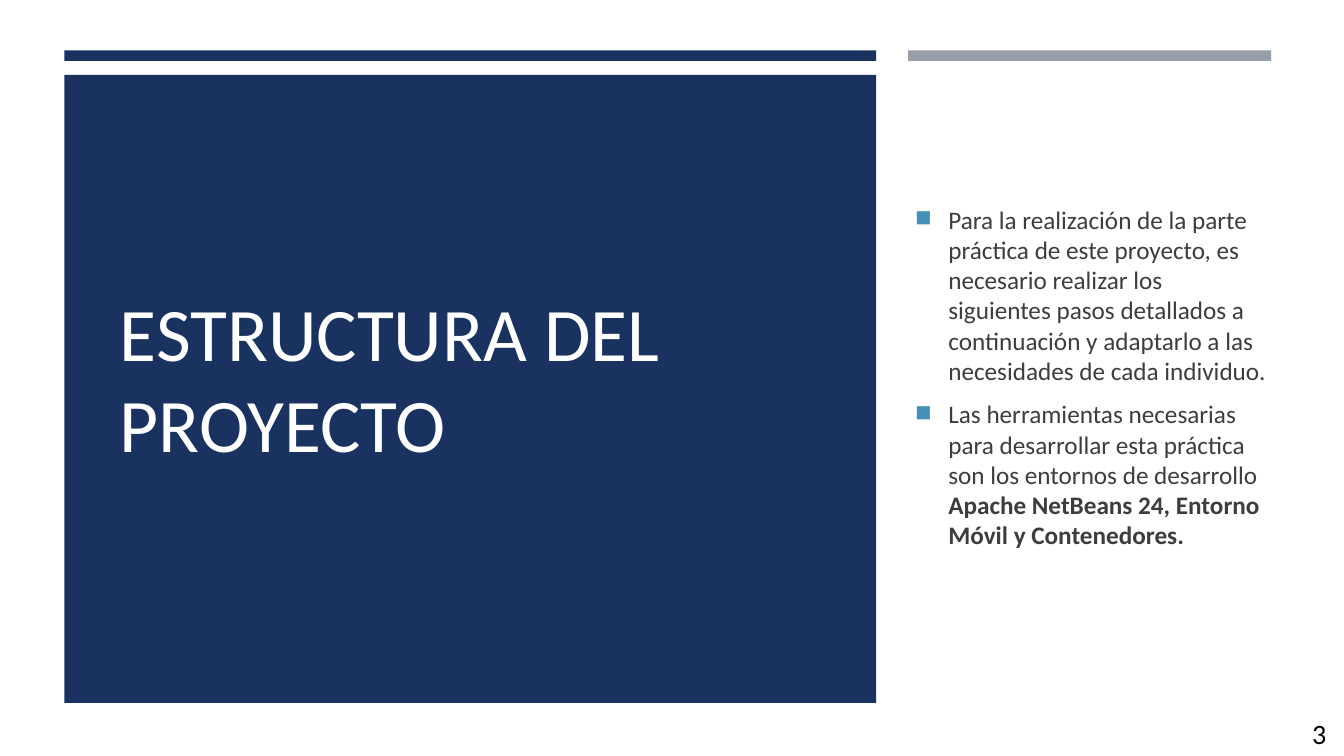
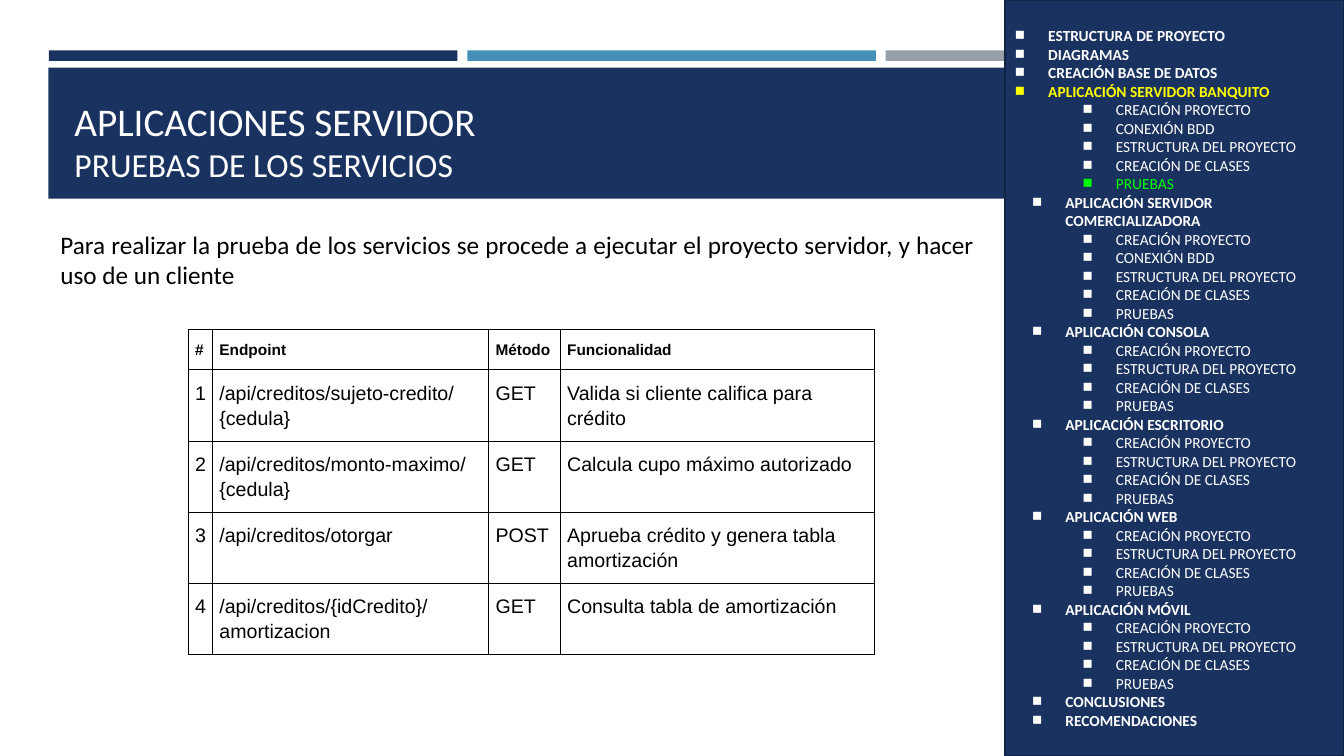
from dataclasses import dataclass
from typing import NamedTuple

import lxml.etree
import pptx
import pptx.dml.color
import pptx.enum.shapes
import pptx.enum.text
import pptx.oxml.ns
import pptx.util

SLIDE_WIDTH = pptx.util.Inches(13.33)
SLIDE_HEIGHT = pptx.util.Inches(7.5)
NAVY, BLUE, GRAY = "1A3260", "4590B8", "969FA7"
NAVY_EDGE, INK = "122446", "3D3D3D"
WHITE, BLACK, YELLOW, GREEN = "FFFFFF", "000000", "FFFF00", "00FF00"
BAND_TOP, BAND_HEIGHT = 6.67, 1.4
ANCHOR = pptx.enum.text.MSO_ANCHOR
ALIGN = pptx.enum.text.PP_ALIGN
MARGINS = (0.1, 0.05, 0.1, 0.05)


class Box(NamedTuple):
    """Position and size as percentages of the slide."""
    left: float
    top: float
    width: float
    height: float


@dataclass(frozen=True)
class Run:
    text: str
    size: float
    color: str = WHITE
    bold: bool = False
    font: str = "Calibri"


@dataclass(frozen=True)
class Paragraph:
    runs: tuple[Run, ...]
    indent: float = 0
    bullet: str = ""
    level: int = 0
    before: float = 0
    spacing: float = 1
    align: ALIGN = ALIGN.LEFT


def rgb(color: str) -> pptx.dml.color.RGBColor:
    return pptx.dml.color.RGBColor.from_string(color)


def across(share: float) -> int:
    return round(SLIDE_WIDTH * share / 100)


def down(share: float) -> int:
    return round(SLIDE_HEIGHT * share / 100)


def place(box: Box) -> tuple[int, int, int, int]:
    return across(box.left), down(box.top), across(box.width), down(box.height)


def add_child(parent, tag: str, **attributes: str):
    return lxml.etree.SubElement(parent, pptx.oxml.ns.qn(tag), **attributes)


def add_bullet(paragraph, color: str, indent: float) -> None:
    hanging = pptx.util.Inches(0.33)
    properties = paragraph._p.get_or_add_pPr()
    properties.set("marL", str(pptx.util.Inches(indent)))
    properties.set("indent", str(-hanging))
    add_child(add_child(properties, "a:buClr"), "a:srgbClr", val=color)
    add_child(properties, "a:buSzPct", val="80000")
    add_child(properties, "a:buChar", char="◼")


def write(frame, paragraphs: list[Paragraph]) -> None:
    for position, content in enumerate(paragraphs):
        paragraph = frame.add_paragraph() if position else frame.paragraphs[0]
        if content.bullet:
            add_bullet(paragraph, content.bullet, content.indent)
        paragraph.level = content.level
        paragraph.alignment = content.align
        paragraph.line_spacing = content.spacing
        if position:
            paragraph.space_before = pptx.util.Pt(content.before)
        for order, piece in enumerate(content.runs):
            if order and content.runs[order - 1].size != piece.size:
                paragraph.add_line_break()
            run = paragraph.add_run()
            run.text = piece.text
            run.font.name = piece.font
            run.font.size = pptx.util.Pt(piece.size)
            run.font.bold = piece.bold
            run.font.color.rgb = rgb(piece.color)


def set_frame(frame, anchor: ANCHOR) -> None:
    frame.word_wrap = True
    frame.vertical_anchor = anchor
    (frame.margin_left, frame.margin_top,
     frame.margin_right, frame.margin_bottom) = map(pptx.util.Inches, MARGINS)


def add_text(slide, box: Box, paragraphs: list[Paragraph],
             anchor: ANCHOR = ANCHOR.MIDDLE) -> None:
    frame = slide.shapes.add_textbox(*place(box)).text_frame
    set_frame(frame, anchor)
    write(frame, paragraphs)


def add_block(slide, box: Box, color: str, edge: str = ""):
    block = slide.shapes.add_shape(
        pptx.enum.shapes.MSO_SHAPE.RECTANGLE, *place(box))
    block.shadow.inherit = False
    block.fill.solid()
    block.fill.fore_color.rgb = rgb(color)
    if edge:
        block.line.color.rgb = rgb(edge)
        block.line.width = pptx.util.Pt(1.75)
    else:
        block.line.fill.background()
    return block


def add_band(slide, left: float, width: float, color: str) -> None:
    add_block(slide, Box(left, BAND_TOP, width, BAND_HEIGHT), color)


def add_borders(cell) -> None:
    properties = cell._tc.get_or_add_tcPr()
    for position, side in enumerate(("a:lnL", "a:lnR", "a:lnT", "a:lnB")):
        line = lxml.etree.Element(
            pptx.oxml.ns.qn(side), w=str(pptx.util.Pt(0.75)))
        add_child(add_child(line, "a:solidFill"), "a:srgbClr", val=BLACK)
        properties.insert(position, line)


ENDPOINTS = (
    ("#", "Endpoint", "Método", "Funcionalidad"),
    ("1", "/api/creditos/sujeto-credito/{cedula}", "GET",
     "Valida si cliente califica para crédito"),
    ("2", "/api/creditos/monto-maximo/{cedula}", "GET",
     "Calcula cupo máximo autorizado"),
    ("3", "/api/creditos/otorgar", "POST",
     "Aprueba crédito y genera tabla amortización"),
    ("4", "/api/creditos/{idCredito}/amortizacion", "GET",
     "Consulta tabla de amortización"),
)
ENDPOINT_COLUMNS = (1.8, 20.55, 5.33, 23.4)
HEADER_ROW, ENDPOINT_ROW = 5.33, 9.36


def add_endpoints(slide) -> None:
    heights = (HEADER_ROW,) + (ENDPOINT_ROW,) * (len(ENDPOINTS) - 1)
    box = Box(14, 43.6, sum(ENDPOINT_COLUMNS), sum(heights))
    table = slide.shapes.add_table(
        len(heights), len(ENDPOINT_COLUMNS), *place(box)).table
    table.horz_banding = False
    for column, width in zip(table.columns, ENDPOINT_COLUMNS):
        column.width = across(width)
    for index, values in enumerate(ENDPOINTS):
        table.rows[index].height = down(heights[index])
        for column, value in enumerate(values):
            cell = table.cell(index, column)
            cell.margin_left = cell.margin_right = pptx.util.Inches(0.07)
            cell.margin_top = pptx.util.Inches(0.09)
            cell.margin_bottom = pptx.util.Inches(0.08)
            cell.fill.background()
            add_borders(cell)
            run = Run(value, 14 if index else 11, BLACK, not index, "Arial")
            write(cell.text_frame, [Paragraph((run,), spacing=1.15)])


class Section(NamedTuple):
    title: str
    indent: float = 0.5
    steps: tuple[str, ...] = ()


CLIENT_STEPS = ("CREACIÓN PROYECTO", "ESTRUCTURA DEL PROYECTO",
                "CREACIÓN DE CLASES", "PRUEBAS")
SERVER_STEPS = CLIENT_STEPS[:1] + ("CONEXIÓN BDD",) + CLIENT_STEPS[1:]
CURRENT_SECTION, CURRENT_STEP = "APLICACIÓN SERVIDOR BANQUITO", "PRUEBAS"
SECTIONS = (
    Section("ESTRUCTURA DE PROYECTO", 0.33),
    Section("DIAGRAMAS", 0.33),
    Section("CREACIÓN BASE DE DATOS", 0.33),
    Section(CURRENT_SECTION, 0.33, SERVER_STEPS),
    Section("APLICACIÓN SERVIDOR COMERCIALIZADORA", steps=SERVER_STEPS),
    Section("APLICACIÓN CONSOLA", steps=CLIENT_STEPS),
    Section("APLICACIÓN ESCRITORIO", steps=CLIENT_STEPS),
    Section("APLICACIÓN WEB", steps=CLIENT_STEPS),
    Section("APLICACIÓN MÓVIL", steps=CLIENT_STEPS),
    Section("CONCLUSIONES"),
    Section("RECOMENDACIONES"),
)


def add_index(slide) -> None:
    entries = []
    for section in SECTIONS:
        current = section.title == CURRENT_SECTION
        color = YELLOW if current else WHITE
        entries.append(Paragraph((Run(section.title, 11, color, True),),
                                 section.indent, color))
        for step in section.steps:
            color = GREEN if current and step == CURRENT_STEP else WHITE
            entries.append(Paragraph((Run(step, 11, color),), 1, color, 1))
    sidebar = add_block(slide, Box(74.78, 0, 25.22, 100), NAVY, NAVY_EDGE)
    set_frame(sidebar.text_frame, ANCHOR.MIDDLE)
    write(sidebar.text_frame, entries)


def build_structure(slide) -> None:
    add_band(slide, 4.8, 60.4, NAVY)
    add_band(slide, 67.58, 27, GRAY)
    add_block(slide, Box(4.8, 9.9, 60.4, 83.07), NAVY)
    add_text(slide, Box(8.18, 16.8, 54, 66.13),
             [Paragraph((Run("ESTRUCTURA DEL PROYECTO", 54),))])
    steps = Run("Para la realización de la parte práctica de este proyecto, es "
                "necesario realizar los siguientes pasos detallados a "
                "continuación y adaptarlo a las necesidades de cada individuo.",
                18, INK)
    tools = Run("Las herramientas necesarias para desarrollar esta práctica "
                "son los entornos de desarrollo ", 18, INK)
    names = Run("Apache NetBeans 24, Entorno Móvil y Contenedores.",
                18, INK, True)
    add_text(slide, Box(67.35, 16.8, 27.9, 66.13),
             [Paragraph((steps,), 0.33, BLUE),
              Paragraph((tools, names), 0.33, BLUE, before=9.6)])
    add_text(slide, Box(96.9, 94.13, 3.1, 5.87),
             [Paragraph((Run("3", 20, BLACK),))], ANCHOR.TOP)


def build_services(slide) -> None:
    for position, color in enumerate((NAVY, BLUE, GRAY)):
        add_band(slide, 3.64 + 31.13 * position, 30.4, color)
    add_block(slide, Box(3.6, 8.95, 92.78, 17.33), NAVY)
    add_text(slide, Box(4.8, 10.27, 69.5, 14.8),
             [Paragraph((Run("APLICACIONES SERVIDOR", 28),
                         Run("PRUEBAS DE LOS SERVICIOS", 24)))], ANCHOR.BOTTOM)
    purpose = Run("Para realizar la prueba de los servicios se procede a "
                  "ejecutar el proyecto servidor, y hacer uso de un cliente",
                  18, BLACK)
    add_text(slide, Box(3.75, 28.67, 69.5, 11.33),
             [Paragraph((purpose,), align=ALIGN.JUSTIFY)])
    add_endpoints(slide)
    add_index(slide)


def main() -> None:
    deck = pptx.Presentation()
    deck.slide_width, deck.slide_height = SLIDE_WIDTH, SLIDE_HEIGHT
    for build in (build_structure, build_services):
        build(deck.slides.add_slide(deck.slide_layouts[6]))
    deck.save("out.pptx")


if __name__ == "__main__":
    main()
